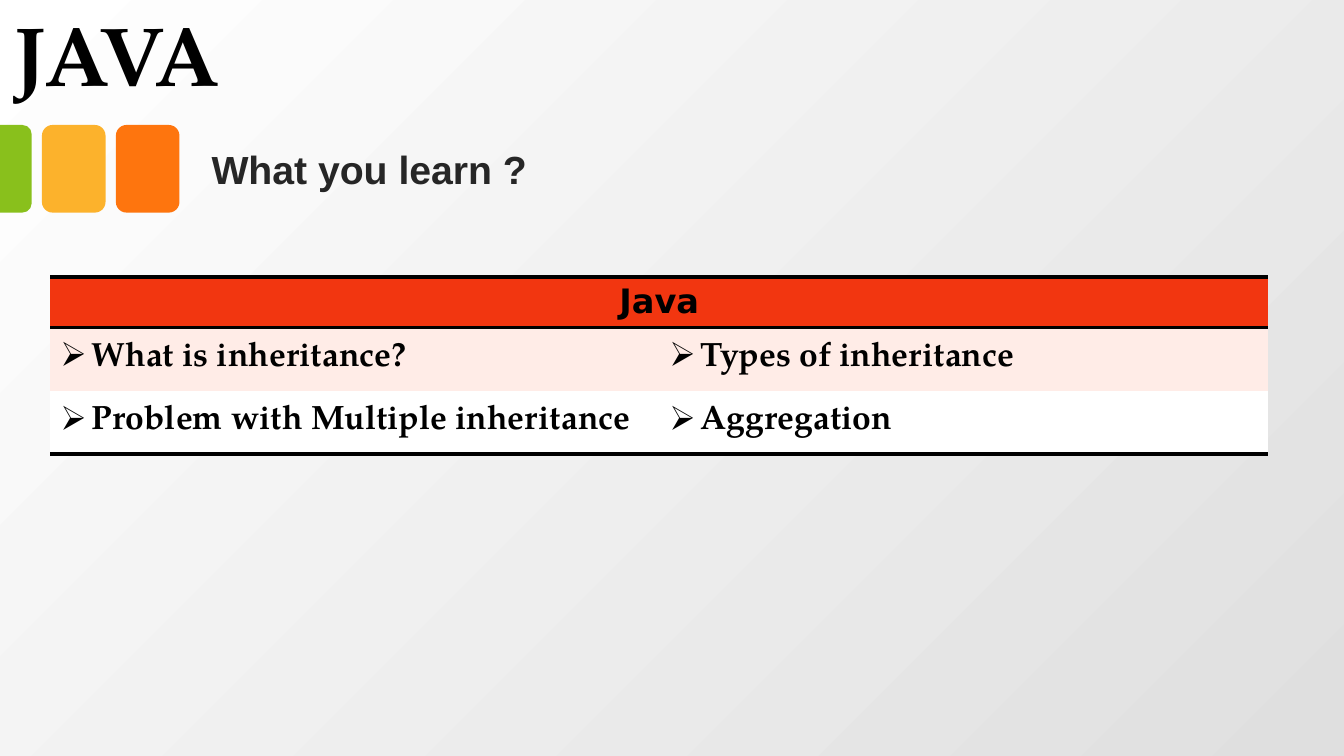
from dataclasses import dataclass

import pptx
import pptx.oxml
import pptx.util
from pptx.dml.color import RGBColor
from pptx.enum.shapes import MSO_SHAPE
from pptx.enum.text import MSO_ANCHOR, MSO_AUTO_SIZE, PP_ALIGN
from pptx.oxml.ns import nsdecls, qn

Pt = pptx.util.Pt

COLORS = {
    "white": "FFFFFF", "grey": "DFDFDF", "black": "000000", "charcoal": "262626",
    "green": "89C01C", "amber": "FCB22C", "orange": "FE750E",
    "header": "F23610", "blush": "FFECE7",
}
SERIF, SANS, TABLE_HEAD = "TeX Gyre Pagella", "Arial", "DejaVu Sans"
NO_TABLE_STYLE = "{2D5ABB26-0587-4C30-8999-92F81FD0307C}"


@dataclass
class Tile:
    shape: MSO_SHAPE
    left: float
    top: float
    width: float
    height: float
    color: str
    corners: tuple
    rotation: float = 0


@dataclass
class TopicRow:
    topics: tuple
    fill: str
    borders: tuple = ()


def rgb(name: str) -> RGBColor:
    return RGBColor.from_string(COLORS[name])


def format_text(paragraph, font: str, size: float, color: str = "black") -> None:
    for run in paragraph.runs:
        run.font.name = font
        run.font.size = Pt(size)
        run.font.bold = True
        run.font.color.rgb = rgb(color)


def draw_tile(slide, tile: Tile) -> None:
    block = slide.shapes.add_shape(
        tile.shape, Pt(tile.left), Pt(tile.top), Pt(tile.width), Pt(tile.height))
    for index, corner in enumerate(tile.corners):
        block.adjustments[index] = corner
    block.rotation = tile.rotation
    block.shadow.inherit = False
    block.fill.solid()
    block.fill.fore_color.rgb = rgb(tile.color)
    block.line.fill.background()


def style_cell(cell, fill: str, borders: tuple) -> None:
    cell.vertical_anchor = MSO_ANCHOR.MIDDLE
    cell.fill.solid()
    cell.fill.fore_color.rgb = rgb(fill)
    properties = cell._tc.get_or_add_tcPr()
    for index, side in enumerate(borders):
        properties.insert(index, pptx.oxml.parse_xml(
            f'<a:{side} {nsdecls("a")} w="{Pt(3)}"><a:solidFill>'
            f'<a:srgbClr val="{COLORS["black"]}"/></a:solidFill></a:{side}>'))


def add_bullet(paragraph) -> None:
    properties = paragraph._p.get_or_add_pPr()
    properties.set("marL", str(Pt(22.5)))
    properties.set("indent", str(-Pt(22.5)))
    properties.append(pptx.oxml.parse_xml(f'<a:buChar {nsdecls("a")} char="➢"/>'))


presentation = pptx.Presentation()
presentation.slide_width, presentation.slide_height = Pt(960), Pt(540)
slide = presentation.slides.add_slide(presentation.slide_layouts[5])

# Background
backdrop = slide.background.fill
backdrop.gradient()
backdrop.gradient_angle = 315
for stop, color, position in zip(backdrop.gradient_stops, ("white", "grey"), (0, 1)):
    stop.color.rgb = rgb(color)
    stop.position = position

# Coloured tiles at the left edge
TILE_TOP, TILE_WIDTH, TILE_HEIGHT, EDGE_WIDTH = 89.3, 45.4, 62.6, 22.6
for tile in (
    Tile(MSO_SHAPE.ROUNDED_RECTANGLE, 82.8, TILE_TOP, TILE_WIDTH, TILE_HEIGHT,
         "orange", (0.167,)),
    Tile(MSO_SHAPE.ROUNDED_RECTANGLE, 30, TILE_TOP, TILE_WIDTH, TILE_HEIGHT,
         "amber", (0.167,)),
    Tile(MSO_SHAPE.ROUND_2_SAME_RECTANGLE, (EDGE_WIDTH - TILE_HEIGHT) / 2,
         TILE_TOP + (TILE_HEIGHT - EDGE_WIDTH) / 2, TILE_HEIGHT, EDGE_WIDTH,
         "green", (0.292, 0), 90),
):
    draw_tile(slide, tile)

# Title
title = slide.shapes.title
title.left, title.top, title.width, title.height = Pt(0.7), Pt(12.2), Pt(821), Pt(66.2)
title_frame = title.text_frame
title_frame.text = "JAVA"
title_frame.auto_size = MSO_AUTO_SIZE.NONE
title_frame.vertical_anchor = MSO_ANCHOR.BOTTOM
title_frame.margin_left = title_frame.margin_right = Pt(9.4)
title_frame.margin_top = title_frame.margin_bottom = Pt(5)
title_frame.paragraphs[0].alignment = PP_ALIGN.LEFT
title_frame.paragraphs[0].line_spacing = 0.8
format_text(title_frame.paragraphs[0], SERIF, 60)

# Question beside the tiles
question = slide.shapes.add_textbox(Pt(144), Pt(100), Pt(250.6), Pt(41)).text_frame
question.text = "What you learn ?"
question.word_wrap = False
question.auto_size = MSO_AUTO_SIZE.SHAPE_TO_FIT_TEXT
question.paragraphs[0].alignment = PP_ALIGN.LEFT
format_text(question.paragraphs[0], SANS, 28, "charcoal")

# Topic table
TOPIC_ROWS = (
    TopicRow(("Java", ""), "header", ("lnT", "lnB")),
    TopicRow(("What is inheritance?", "Types of inheritance"), "blush"),
    TopicRow(("Problem with Multiple inheritance", "Aggregation"), "white", ("lnB",)),
)
topics_frame = slide.shapes.add_table(
    len(TOPIC_ROWS), 2, Pt(36), Pt(197.8), Pt(869.8), Pt(126))
next(topics_frame.element.iter(qn("a:tableStyleId"))).text = NO_TABLE_STYLE
topics = topics_frame.table
topics.first_row = topics.horz_banding = False
for row, height in zip(topics.rows, (35.2, 45.2, 45.2)):
    row.height = Pt(height)
topics.cell(0, 0).merge(topics.cell(0, 1))

for row_index, topic_row in enumerate(TOPIC_ROWS):
    for column_index, topic in enumerate(topic_row.topics):
        cell = topics.cell(row_index, column_index)
        style_cell(cell, topic_row.fill, topic_row.borders)
        if cell.is_spanned:
            continue
        cell.text_frame.text = topic
        entry = cell.text_frame.paragraphs[0]
        if cell.is_merge_origin:
            entry.alignment = PP_ALIGN.CENTER
            format_text(entry, TABLE_HEAD, 24)
        else:
            add_bullet(entry)
            format_text(entry, SERIF, 24)

presentation.save("out.pptx")
